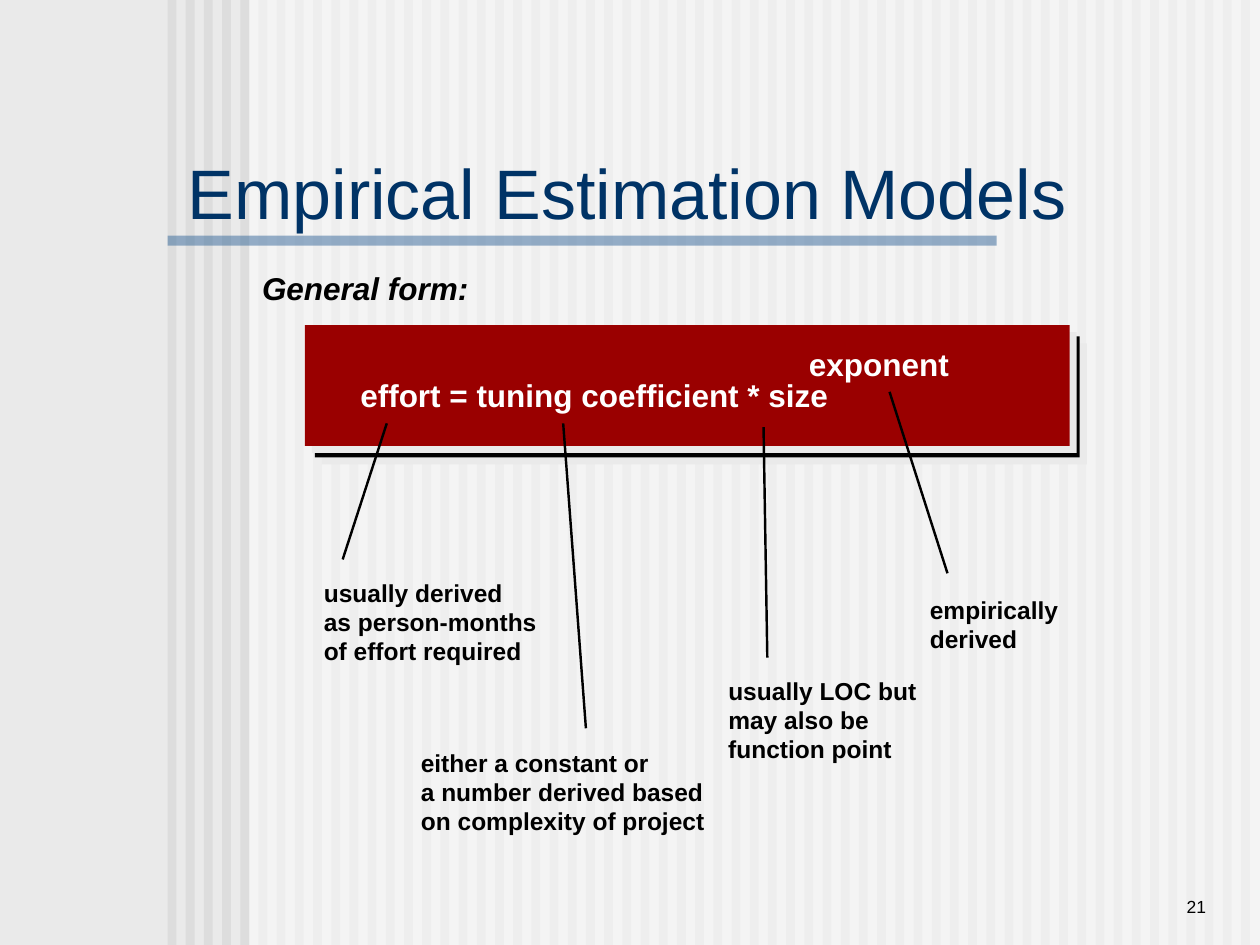
from lxml import etree
from pptx import Presentation
from pptx.dml.color import RGBColor
from pptx.enum.shapes import MSO_CONNECTOR, MSO_SHAPE
from pptx.enum.text import MSO_ANCHOR, MSO_AUTO_SIZE, PP_ALIGN
from pptx.oxml.ns import qn
from pptx.util import Inches, Pt

RECTANGLE = MSO_SHAPE.RECTANGLE
STRAIGHT = MSO_CONNECTOR.STRAIGHT
TOP, BOTTOM = MSO_ANCHOR.TOP, MSO_ANCHOR.BOTTOM
LEFT, RIGHT = PP_ALIGN.LEFT, PP_ALIGN.RIGHT
FIT_SHAPE, NO_FIT = MSO_AUTO_SIZE.SHAPE_TO_FIT_TEXT, MSO_AUTO_SIZE.NONE

COLORS = {
    "background": "EAEAEA", "stripe": "DDDDDD", "white": "FFFFFF", "rule": "336699",
    "black": "000000", "red": "9A0000", "title": "003366",
}
FONT = "Arial"
SLIDE_WIDTH, SLIDE_HEIGHT = 10, 7.5
STRIPE_COUNT, STRIPE_WIDTH = 60, 0.07
FIRST_STRIPE, LAST_STRIPE = 1.33, 9.85
LINE_PITCH = 0.23

TITLE = ("Empirical Estimation Models", (1.42, 1.16, 7.12, 0.72))
PAGE_NUMBER = ("21", (8.25, 6.83, 1.42, 0.5))
OVERLAYS = [
    ((1.98, 0, 8.02, 7.5), "white"),
    ((1.33, 1.87, 6.58, 0.08), "rule"),
]
FORMULA_PANELS = [
    ((2.5, 2.67, 6.07, 0.96), "black"),
    ((2.42, 2.58, 6.07, 0.96), "red"),
]
FORMULA_TEXTS = [
    ("General form:", (2.08, 2.17, 1.7, 0.27), "black", True),
    ("effort = tuning coefficient * size", (2.86, 3.02, 3.8, 0.27), "white", False),
    ("exponent", (6.42, 2.77, 1.18, 0.27), "white", False),
]
POINTERS = [
    (3.07, 3.36, 2.72, 4.44),
    (4.47, 3.36, 4.65, 5.78),
    (6.06, 3.39, 6.09, 5.22),
    (7.06, 3.11, 7.52, 4.55),
]
NOTES = [
    (2.57, 4.61, [("usually derived", 1.48), ("as person-months", 1.75),
                  ("of effort required", 1.63)]),
    (3.34, 5.96, [("either a constant or", 1.87), ("a number derived based", 2.32),
                  ("on complexity of project", 2.32)]),
    (5.78, 5.39, [("usually LOC but", 1.55), ("may also be", 1.18),
                  ("function point", 1.36)]),
    (7.38, 4.75, [("empirically", 1.08), ("derived", 0.75)]),
]


def rgb(name):
    return RGBColor.from_string(COLORS[name])


def inches(values):
    return [Inches(value) for value in values]


def add_panel(page, area, color, opacity=None):
    panel = page.shapes.add_shape(RECTANGLE, *inches(area))
    panel.shadow.inherit = False
    panel.fill.solid()
    panel.fill.fore_color.rgb = rgb(color)
    panel.line.fill.background()
    if opacity:
        fill_color = panel.element.spPr.find(qn("a:solidFill"))[0]
        etree.SubElement(fill_color, qn("a:alpha"), val=str(opacity * 1000))
    return panel


def add_shadow(panel):
    effects = panel.element.spPr.find(qn("a:effectLst"))
    shadow = etree.SubElement(effects, qn("a:outerShdw"), blurRad="0",
                              dist=str(Pt(5.7)), dir="2700000",
                              algn="ctr", rotWithShape="0")
    etree.SubElement(shadow, qn("a:srgbClr"), val=COLORS["background"])


def add_pointer(page, points):
    pointer = page.shapes.add_connector(STRAIGHT, *inches(points))
    pointer.line.color.rgb = rgb("black")
    pointer.line.width = Pt(1.39)
    etree.SubElement(pointer.element.spPr, qn("a:effectLst"))


def write_text(box, text, size, color, margins=(0, 0), wrap=False, fit=FIT_SHAPE,
               anchor=TOP, align=LEFT, spacing=None, bold=False, italic=False):
    frame = box.text_frame
    side, edge = inches(margins)
    frame_format = {
        "margin_left": side, "margin_right": side, "margin_top": edge,
        "margin_bottom": edge, "word_wrap": wrap, "auto_size": fit,
        "vertical_anchor": anchor,
    }
    for name, value in frame_format.items():
        setattr(frame, name, value)
    para = frame.paragraphs[0]
    para.alignment = align
    para.line_spacing = spacing
    span = para.add_run()
    span.text = text
    span_format = {"name": FONT, "size": Pt(size), "bold": bold, "italic": italic}
    for name, value in span_format.items():
        setattr(span.font, name, value)
    span.font.color.rgb = rgb(color)


def add_label(page, text, area, size, color, **text_format):
    box = page.shapes.add_textbox(*inches(area))
    write_text(box, text, size, color, **text_format)


def add_title(page):
    text, area = TITLE
    title = page.shapes.title
    title.left, title.top, title.width, title.height = inches(area)
    title.element.getparent().append(title.element)
    write_text(title, text, 40, "title", margins=(0.07, 0.03), wrap=True)


def main():
    deck = Presentation()
    deck.slide_width, deck.slide_height = inches((SLIDE_WIDTH, SLIDE_HEIGHT))
    page = deck.slides.add_slide(deck.slide_layouts[5])
    page.background.fill.solid()
    page.background.fill.fore_color.rgb = rgb("background")

    stripe_pitch = (LAST_STRIPE - FIRST_STRIPE) / (STRIPE_COUNT - 1)
    for index in range(STRIPE_COUNT):
        left = FIRST_STRIPE + index * stripe_pitch
        add_panel(page, (left, 0, STRIPE_WIDTH, SLIDE_HEIGHT), "stripe")
    for area, color in OVERLAYS:
        add_panel(page, area, color, opacity=50)
    for area, color in FORMULA_PANELS:
        add_shadow(add_panel(page, area, color))

    add_title(page)
    for text, area, color, italic in FORMULA_TEXTS:
        add_label(page, text, area, 18, color, spacing=0.9, bold=True, italic=italic)
    for points in POINTERS:
        add_pointer(page, points)
    for left, top, lines in NOTES:
        for index, (text, width) in enumerate(lines):
            area = (left, top + index * LINE_PITCH, width, 0.21)
            add_label(page, text, area, 14, "black", spacing=0.9, bold=True)
    text, area = PAGE_NUMBER
    add_label(page, text, area, 10, "black", margins=(0.1, 0.05), wrap=True,
              fit=NO_FIT, anchor=BOTTOM, align=RIGHT)
    deck.save("out.pptx")


if __name__ == "__main__":
    main()
